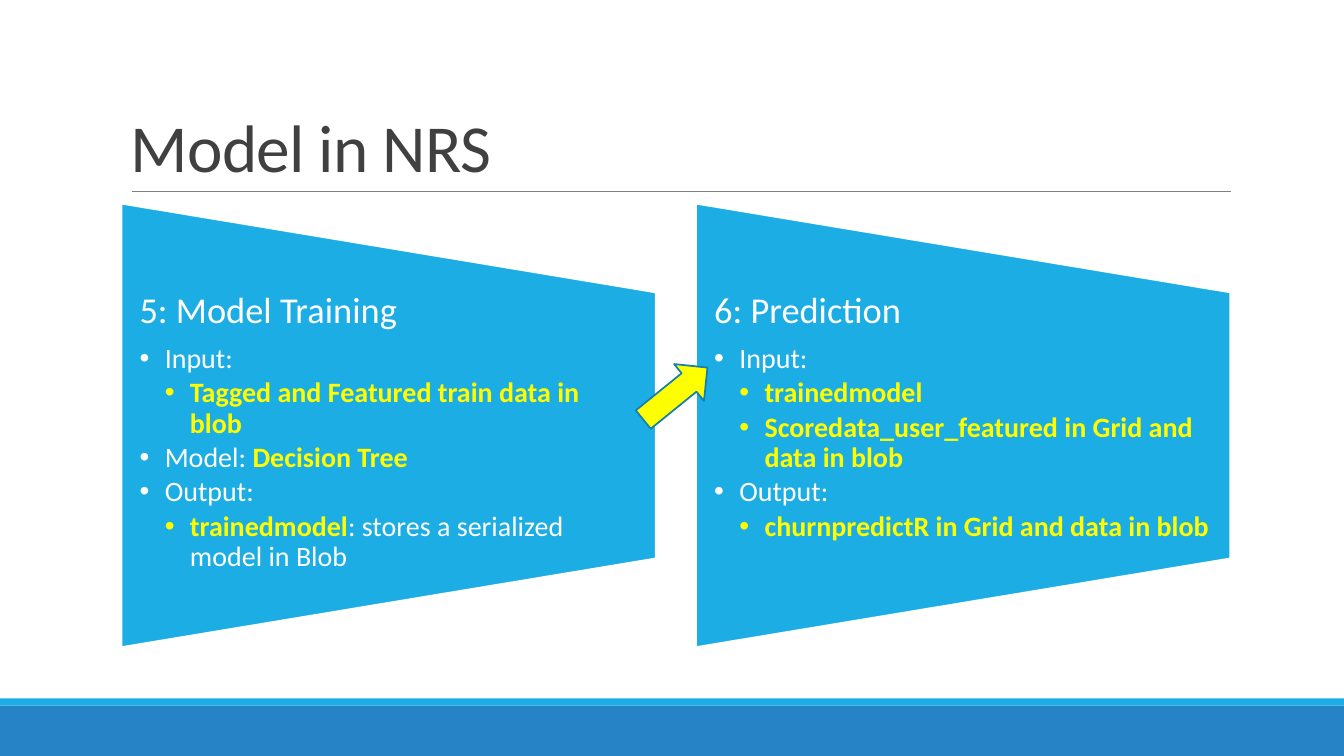
from lxml.etree import SubElement
from pptx import Presentation
from pptx.dml.color import RGBColor
from pptx.enum.shapes import MSO_CONNECTOR as Connector, MSO_SHAPE as Shape
from pptx.enum.text import MSO_ANCHOR as Anchor
from pptx.oxml.ns import qn
from pptx.util import Inches, Pt

CELL = 0.1
COLUMNS, ROWS = 133.33, 75
BLUE, DARK_BLUE, YELLOW, WHITE = "1CADE4", "2683C6", "FFFF00", "FFFFFF"
PANEL_WIDTH, PANEL_HEIGHT, PANEL_TOP = 53, 44, 20.2
PANEL_LEFT, PANEL_STEP = 12.05, 57
INDENT = 2.5

PLAIN = {"size": Pt(20), "bold": False, "color": WHITE}
STRONG = {**PLAIN, "bold": True, "color": YELLOW}
HEADING = {**PLAIN, "size": Pt(26)}
TITLE = {"size": Pt(48), "color": "404040"}

PANELS = [
    [
        (0, [("5: Model Training", HEADING)]),
        (1, [("Input:", PLAIN)]),
        (2, [("Tagged and Featured train data in blob", STRONG)]),
        (1, [("Model: ", PLAIN), ("Decision Tree", STRONG)]),
        (1, [("Output:", PLAIN)]),
        (2, [("trainedmodel", STRONG),
             (": stores a serialized model in Blob", PLAIN)]),
    ],
    [
        (0, [("6: Prediction", HEADING)]),
        (1, [("Input:", PLAIN)]),
        (2, [("trainedmodel", STRONG)]),
        (2, [("Scoredata_user_featured in Grid and data in blob", STRONG)]),
        (1, [("Output:", PLAIN)]),
        (2, [("churnpredictR in Grid and data in blob", STRONG)]),
    ],
]


def grid(cells):
    return Inches(cells * CELL)


def rgb(color):
    return RGBColor.from_string(color)


def set_values(target, values):
    for name, value in values.items():
        setattr(target, name, value)


def add_run(paragraph, text, style):
    run = paragraph.add_run()
    run.text = text
    font_values = {name: value for name, value in style.items() if name != "color"}
    set_values(run.font, {"name": "Calibri", **font_values})
    run.font.color.rgb = rgb(style["color"])
    return run


def add_bullet(paragraph, level):
    properties = paragraph._p.get_or_add_pPr()
    properties.set("marL", str(grid(INDENT * level)))
    properties.set("indent", str(-grid(INDENT)))
    SubElement(properties, qn("a:buFont"), typeface="Arial")
    SubElement(properties, qn("a:buChar"), char="•")


def add_text_box(slide, left, top, width, height, frame_values):
    box = slide.shapes.add_textbox(*map(grid, (left, top, width, height)))
    set_values(box.text_frame, {"word_wrap": True, **frame_values})
    return box.text_frame


def add_filled_shape(slide, kind, left, top, width, height, fill,
                     outline=None, rotation=0):
    shape = slide.shapes.add_shape(kind, *map(grid, (left, top, width, height)))
    shape.shadow.inherit = False
    shape.rotation = rotation
    shape.fill.solid()
    shape.fill.fore_color.rgb = rgb(fill)
    if outline:
        shape.line.color.rgb = rgb(outline)
        shape.line.width = Pt(1.25)
    else:
        shape.line.fill.background()


def add_rule(slide, left, right, row):
    rule = slide.shapes.add_connector(
        Connector.STRAIGHT, *map(grid, (left, row, right, row)))
    rule.line.color.rgb = rgb("808080")
    rule.line.width = Pt(0.5)
    SubElement(rule._element.spPr, qn("a:effectLst"))


def add_title(slide, text):
    frame = add_text_box(slide, 12, 3.1, 110, 15.9,
                         {"vertical_anchor": Anchor.BOTTOM})
    paragraph = frame.paragraphs[0]
    paragraph.line_spacing = 0.85
    run = add_run(paragraph, text, TITLE)
    run._r.get_or_add_rPr().set("spc", "-50")


def add_panel(slide, left, content):
    shift = (PANEL_WIDTH - PANEL_HEIGHT) / 2
    add_filled_shape(slide, Shape.FLOWCHART_MANUAL_OPERATION,
                     left + shift, PANEL_TOP - shift, PANEL_HEIGHT, PANEL_WIDTH,
                     BLUE, WHITE, 270)
    frame = add_text_box(
        slide, left, PANEL_TOP + PANEL_HEIGHT / 5, PANEL_WIDTH, PANEL_HEIGHT * 3 / 5,
        {"margin_left": grid(1.8), "margin_right": grid(1.8),
         "margin_top": 0, "margin_bottom": 0})
    for index, (level, runs) in enumerate(content):
        paragraph = frame.add_paragraph() if index else frame.paragraphs[0]
        set_values(paragraph, {"level": level, "line_spacing": 0.9,
                               "space_after": Pt(3 if level else 9)})
        if level:
            add_bullet(paragraph, level)
        for text, style in runs:
            add_run(paragraph, text, style)


def main():
    presentation = Presentation()
    set_values(presentation, {"slide_width": grid(COLUMNS),
                              "slide_height": grid(ROWS)})
    slide = presentation.slides.add_slide(presentation.slide_layouts[6])
    add_filled_shape(slide, Shape.RECTANGLE, 0, 70, COLUMNS, 5, DARK_BLUE)
    add_filled_shape(slide, Shape.RECTANGLE, 0, 69.3, COLUMNS, 0.7, BLUE)
    add_rule(slide, 13.1, 122.1, 19)
    add_title(slide, "Model in NRS")
    for index, content in enumerate(PANELS):
        add_panel(slide, PANEL_LEFT + index * PANEL_STEP, content)
    add_filled_shape(slide, Shape.RIGHT_ARROW, 62.9, 36.7, 8.2, 4.7,
                     YELLOW, "1580A9", 321)
    presentation.save("out.pptx")


if __name__ == "__main__":
    main()
